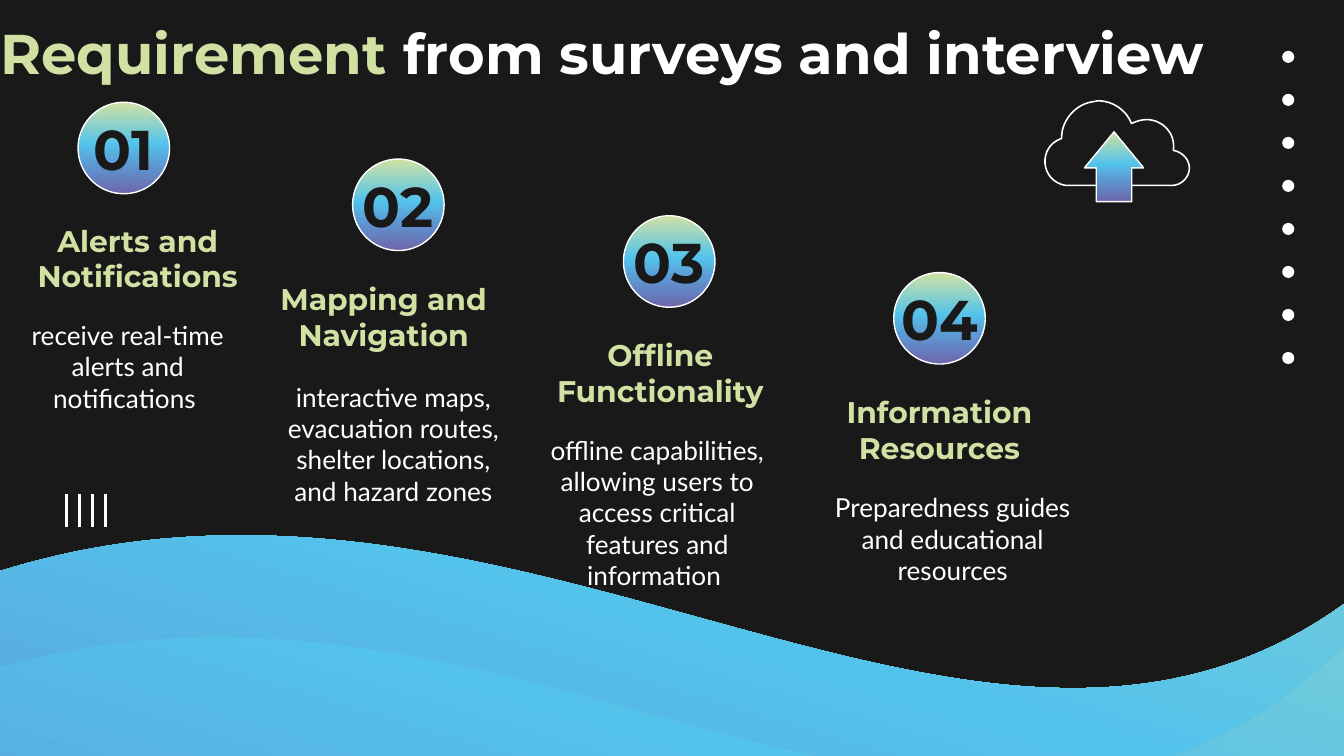
from math import cos, radians, sin

from lxml import etree
from pptx import Presentation
from pptx.dml.color import RGBColor
from pptx.enum.shapes import MSO_CONNECTOR, MSO_SHAPE
from pptx.enum.text import MSO_ANCHOR, PP_ALIGN
from pptx.oxml.ns import qn
from pptx.util import Pt

OVAL, ARROW = MSO_SHAPE.OVAL, MSO_SHAPE.UP_ARROW
LINE = MSO_CONNECTOR.STRAIGHT
LEFT, MID = PP_ALIGN.LEFT, PP_ALIGN.CENTER
TOP, CENTER = MSO_ANCHOR.TOP, MSO_ANCHOR.MIDDLE

DARK, WHITE, LIME = "191919", "FFFFFF", "D0E1A3"
STOPS = [(0, LIME), (46, "53C3EC"), (66, "5C9CD5"), (100, "6E66AB")]

# Font formats
BIG = {"size": Pt(30), "name": "Montserrat", "bold": True}
HEAD = {"size": Pt(16), "name": "Montserrat", "bold": True}
BODY = {"size": Pt(14), "name": "Lato", "bold": False}

# Content: number, its box width, circle left, heading and box, text and box
TITLE = [("Requirement ", LIME), ("from surveys and interview", WHITE)]
ITEMS = [
    ("01", 69, 41.8,
     "Alerts and Notifications", (3.6, 111.9, 140.4, 52.6),
     "receive real-time alerts and notifications ", (4.3, 163.9, 128.4, 69)),
    ("02", 108, 188.9,
     "Mapping and Navigation", (133.2, 143.1, 144.7, 60.5),
     "interactive maps, evacuation routes, shelter locations, "
     "and hazard zones", (146, 196.9, 129.6, 76.3)),
    ("03", 108, 334,
     "Offline Functionality", (284.3, 173.3, 139, 66.2),
     "offline capabilities, allowing users to access critical "
     "features and information ", (276.2, 225.3, 151.9, 87.8)),
    ("04", 108, 478.8,
     "Information Resources", (438.5, 203.8, 129.6, 56.2),
     "Preparedness guides and educational resources",
     (439.1, 256.3, 142.6, 81.4)),
]
DISC, DISC_TOP, DISC_STEP = 49, 54.8, 30.4

# Outlines, each a frame and steps: two numbers are a corner, six a curve
TILT = 16.7
WAVES = [
    ((-88.6, 110.2, 1109.5, 600.5), [
        (890.6, 223.9), (844.6, 231.8, 782.6, 270, 739.4, 308.2),
        (517.7, 501.1, 233.3, 153.4, -94.3, 348.5),
        (-151.2, 538.6), (124.6, 620.6),
        (200.2, 571.7, 537.8, 540.7, 602.6, 545.8),
        (902.2, 568.8, 920.2, 605.5, 986.4, 609.8)]),
    ((-104.4, 151.9, 1090.1, 624.2), [
        (861.8, 264.2), (816.5, 273.6, 755.3, 314.6, 712, 354.2),
        (489.6, 557.3, 214.6, 202.3, -111.6, 409),
        (-170.6, 606.2), (100, 687.6),
        (175, 635.8, 509, 598.3, 573.1, 602.6),
        (868.3, 621.4, 885.6, 659.5, 950.4, 663.1)]),
]
CLOUD = ((555.8, 54, 81.4, 45.4), [
    (588.2, 54), (587.5, 54, 586.1, 54.7, 584.6, 54.7),
    (576, 56.2, 568.8, 64.8, 568.8, 73.4), (568.8, 74.2),
    (555.8, 78.5, 557.3, 97.2, 571, 99.4), (627.8, 99.4),
    (632.9, 99.4, 637.2, 95, 637.2, 90),
    (637.2, 85.7, 633.6, 81.4, 628.6, 80.6),
    (630, 71.3, 622.8, 64.1, 614.2, 64.1),
    (612, 64.1, 609.1, 64.8, 606.2, 66.2),
    (603.4, 59, 596.2, 54, 588.2, 54),
])

deck = Presentation()
deck.slide_width, deck.slide_height = Pt(720), Pt(405)
slide = deck.slides.add_slide(deck.slide_layouts[6])
shapes = slide.shapes


def color(text):
    return RGBColor.from_string(text)


def blend(shape):
    """Fill a shape with the vertical four-stop gradient."""
    shape.fill.gradient()
    shape.fill.gradient_angle = 270
    stops = shape._element.spPr.find(".//" + qn("a:gsLst"))
    for old in list(stops):
        stops.remove(old)
    for pos, tone in STOPS:
        stop = etree.SubElement(stops, qn("a:gs"), pos=str(pos * 1000))
        etree.SubElement(stop, qn("a:srgbClr"), val=tone)


def edge(shape, width):
    shape.shadow.inherit = False
    if width:
        shape.line.color.rgb = color(WHITE)
        shape.line.width = Pt(width)
    else:
        shape.line.fill.background()


def preset(kind, box, width):
    shape = shapes.add_shape(kind, *map(Pt, box))
    edge(shape, width)
    return shape


def outline(box, steps, width, tilt=0):
    """Build a frame, then put corners and curves in it, laid flat."""
    x, y, w, h = box
    pen = shapes.build_freeform(Pt(x), Pt(y))
    pen.add_line_segments([(Pt(x + w), Pt(y)), (Pt(x + w), Pt(y + h)),
                           (Pt(x), Pt(y + h))])
    shape = pen.convert_to_shape()
    edge(shape, width)
    shape.rotation = tilt
    track = shape._element.spPr.find(".//" + qn("a:path"))
    for old in list(track):
        track.remove(old)
    c, s = cos(radians(tilt)), sin(radians(tilt))
    for i, step in enumerate(steps):
        tag = "a:cubicBezTo" if len(step) == 6 else "a:lnTo"
        node = etree.SubElement(track, qn(tag if i else "a:moveTo"))
        for px, py in zip(step[::2], step[1::2]):
            dx, dy = px - x - w / 2, py - y - h / 2
            etree.SubElement(node, qn("a:pt"),
                             x=str(int(Pt(w / 2 + dx * c + dy * s))),
                             y=str(int(Pt(h / 2 - dx * s + dy * c))))
    etree.SubElement(track, qn("a:close"))
    return shape


def label(box, runs, style, align=MID, anchor=TOP):
    frame = shapes.add_textbox(*map(Pt, box)).text_frame
    pad = Pt(7.2)
    form = {"word_wrap": True, "vertical_anchor": anchor,
            "margin_left": pad, "margin_right": pad,
            "margin_top": pad, "margin_bottom": pad}
    for key, val in form.items():
        setattr(frame, key, val)
    para = frame.paragraphs[0]
    para.alignment = align
    for text, tone in runs:
        run = para.add_run()
        run.text = text
        for key, val in style.items():
            setattr(run.font, key, val)
        run.font.color.rgb = color(tone)


# Background and waves
slide.background.fill.solid()
slide.background.fill.fore_color.rgb = color(DARK)
for box, steps in WAVES:
    blend(outline(box, steps, 0, TILT))

# Column of dots
for i in range(8):
    dot = preset(OVAL, (686.9, 27.2 + 23.05 * i, 6.5, 6.5), 0)
    dot.fill.solid()
    dot.fill.fore_color.rgb = color(WHITE)

# Row of ticks
for i in range(4):
    x = Pt(35.5 + 7 * i)
    tick = shapes.add_connector(LINE, x, Pt(264.7), x, Pt(282.2))
    tick.line.color.rgb = color(WHITE)
    tick.line.width = Pt(1.5)
    etree.SubElement(tick._element.spPr, qn("a:effectLst"))

# Title
label((-6.8, 2.5, 679.7, 56.9), TITLE, BIG, LEFT)

# Numbered items, stepping down to the right
for i, (num, wide, x, head, head_box, body, body_box) in enumerate(ITEMS):
    y = DISC_TOP + DISC_STEP * i
    blend(preset(OVAL, (x, y, DISC, DISC), 0.75))
    mid = x + DISC / 2
    label((mid - wide / 2, y + 2.9, wide, 43.2), [(num, DARK)], BIG,
          anchor=CENTER)
    label(head_box, [(head, LIME)], HEAD)
    label(body_box, [(body, WHITE)], BODY)

# Cloud with upload arrow
outline(*CLOUD, 0.85).fill.background()
arrow = preset(ARROW, (581, 70.6, 31.7, 37.4), 0.75)
arrow.adjustments[0], arrow.adjustments[1] = 0.6, 0.61
blend(arrow)

deck.save("out.pptx")
